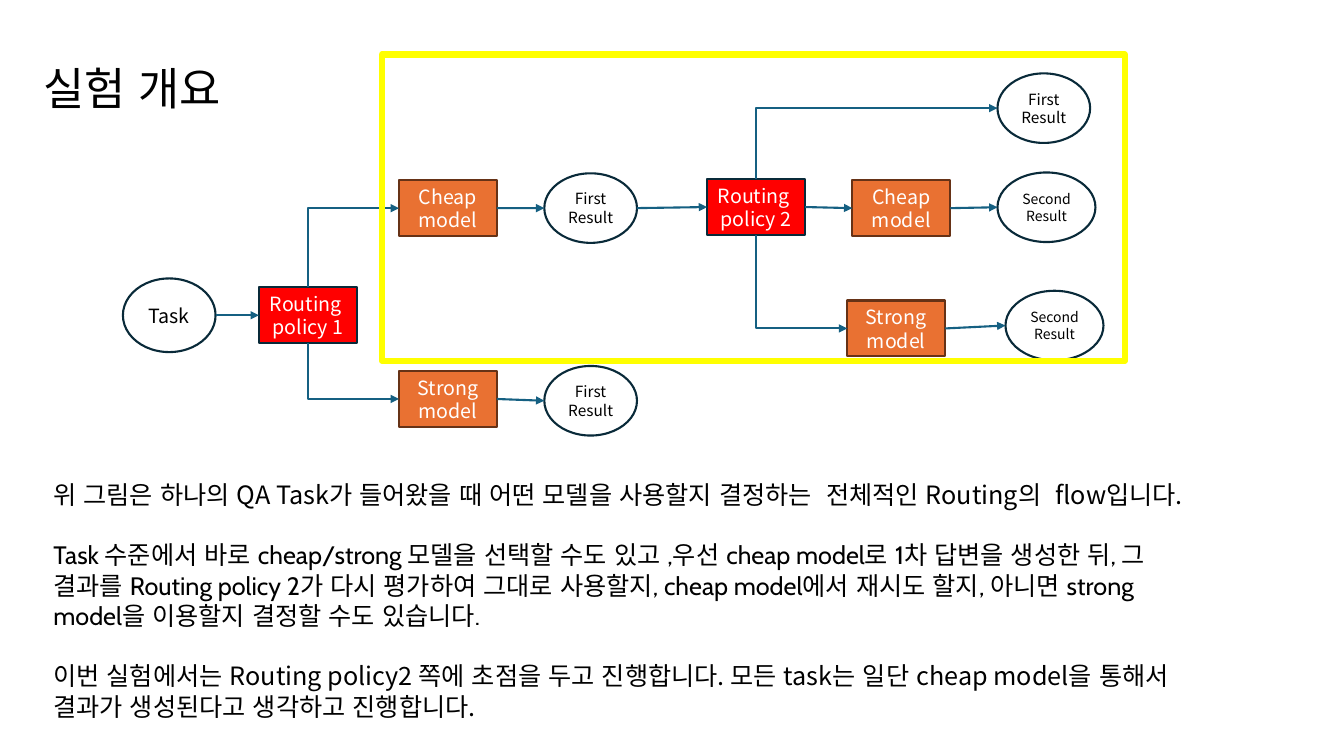
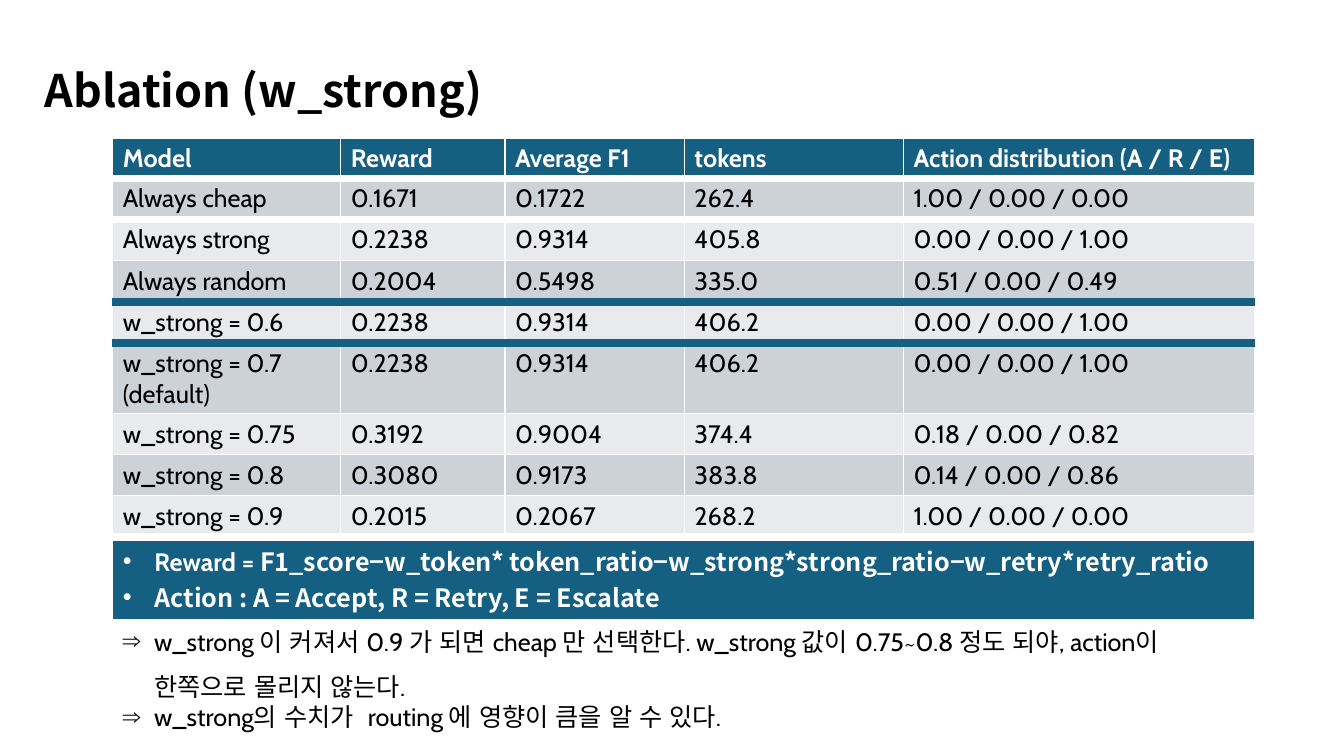
from lxml.etree import SubElement
from pptx import Presentation
from pptx.dml.color import RGBColor
from pptx.enum.lang import MSO_LANGUAGE_ID
from pptx.enum.shapes import MSO_CONNECTOR, MSO_SHAPE
from pptx.enum.text import MSO_ANCHOR, PP_ALIGN
from pptx.oxml.ns import qn
from pptx.util import Pt

COLORS = {
    "ink": "000000", "white": "FFFFFF", "outline": "092A39", "teal": "156082",
    "policy": "FF0000", "model": "E97132", "model_line": "663216",
    "highlight": "FFFF00", "band_dark": "CCD2D8", "band_light": "E8EAED",
}
NOTO, CABIN = "Noto Sans CJK KR", "Cabin"
LEADING = 1.2
ELLIPSE, RECT = MSO_SHAPE.OVAL, MSO_SHAPE.RECTANGLE
SITES = {ELLIPSE: dict(t=0, l=2, b=4, r=6), RECT: dict(t=0, l=1, b=2, r=3)}

KINDS = {
    "task": (ELLIPSE, 66.2, 52.6, 14, "white", "outline", "ink"),
    "first": (ELLIPSE, 66.2, 49.7, 11, "white", "outline", "ink"),
    "second": (ELLIPSE, 70, 49.7, 10, "white", "outline", "ink"),
    "policy": (RECT, 70, 40, 14, "policy", "outline", "white"),
    "model": (RECT, 70, 40, 14, "model", "model_line", "white"),
}
NODES = {
    "task": ("task", 0, 160, ["Task"]),
    "policy 1": ("policy", 97.2, 166.3, ["Routing ", "policy 1"]),
    "cheap 1": ("model", 197.2, 89.8, ["Cheap", "model"]),
    "strong 1": ("model", 197.2, 226.1, ["Strong", "model"]),
    "cheap result": ("first", 301, 84.9, ["First Result"]),
    "strong result": ("first", 301, 222.5, ["First Result"]),
    "policy 2": ("policy", 417.3, 89, ["Routing ", "policy 2"]),
    "cheap 2": ("model", 521, 89.8, ["Cheap", "model"]),
    "strong 2": ("model", 517.4, 175.7, ["Strong", "model"]),
    "accepted": ("first", 624.7, 13.5, ["First Result"]),
    "retried": ("second", 624.7, 84.3, ["Second Result"]),
    "escalated": ("second", 630.4, 168.8, ["Second Result"]),
}
ARROWS = [
    ("task", "r", "policy 1"), ("policy 1", "t", "cheap 1"),
    ("policy 1", "b", "strong 1"), ("cheap 1", "r", "cheap result"),
    ("strong 1", "r", "strong result"), ("cheap result", "r", "policy 2"),
    ("policy 2", "t", "accepted"), ("policy 2", "r", "cheap 2"),
    ("policy 2", "b", "strong 2"), ("cheap 2", "r", "retried"),
    ("strong 2", "r", "escalated"),
]
OVERVIEW = [
    ("위 그림은 하나의 QA Task가 들어왔을 때 어떤 모델을 사용할지 결정하는  전체적인 Routing의  flow입니다.", NOTO),
    ("Task 수준에서 바로 cheap/strong 모델을 선택할 수도 있고 ,우선 cheap model로 1차 답변을 생성한 뒤, "
     "그 결과를 Routing policy 2가 다시 평가하여 그대로 사용할지, cheap model에서 재시도 할지, "
     "아니면 strong model을 이용할지 결정할 수도 있습니다.", CABIN),
    ("이번 실험에서는 Routing policy2 쪽에 초점을 두고 진행합니다. 모든 task는 일단 cheap model을 "
     "통해서 결과가 생성된다고 생각하고 진행합니다.", NOTO),
]
RESULTS = [
    ("Model", "Reward", "Average F1", "tokens", "Action distribution (A / R / E)"),
    ("Always cheap", "0.1671", "0.1722", "262.4", "1.00 / 0.00 / 0.00"),
    ("Always strong", "0.2238", "0.9314", "405.8", "0.00 / 0.00 / 1.00"),
    ("Always random", "0.2004", "0.5498", "335.0", "0.51 / 0.00 / 0.49"),
    ("w_strong = 0.6", "0.2238", "0.9314", "406.2", "0.00 / 0.00 / 1.00"),
    ("w_strong = 0.7 (default)", "0.2238", "0.9314", "406.2", "0.00 / 0.00 / 1.00"),
    ("w_strong = 0.75", "0.3192", "0.9004", "374.4", "0.18 / 0.00 / 0.82"),
    ("w_strong = 0.8", "0.3080", "0.9173", "383.8", "0.14 / 0.00 / 0.86"),
    ("w_strong = 0.9", "0.2015", "0.2067", "268.2", "1.00 / 0.00 / 0.00"),
]
LEGEND = [
    [("Reward = ", CABIN),
     ("F1_score−w_token* token_ratio−w_strong*strong_ratio−w_retry*retry_ratio", NOTO)],
    [("Action : A = Accept, R = Retry, E = Escalate", NOTO)],
]
FINDINGS = [
    "w_strong 이 커져서 0.9 가 되면 cheap 만 선택한다. w_strong 값이 0.75~0.8 정도 되야, action이 한쪽으로 몰리지 않는다.",
    "w_strong의 수치가  routing 에 영향이 큼을 알 수 있다.",
]
COL_WIDTHS = [162.9, 117.3, 128.1, 156.6, 250.6]
RULES = {1: ("white", 6), 2: ("white", 6), 4: ("teal", 6), 5: ("teal", 6), 9: ("white", 6)}


def rgb(name):
    """Return the named colour."""
    return RGBColor.from_string(COLORS[name])


def style_runs(p, size, color="ink", font=NOTO, bold=False):
    """Format every run of a paragraph."""
    for r in p.runs:
        r.font.size, r.font.bold, r.font.name = Pt(size), bold, font
        r.font.language_id = MSO_LANGUAGE_ID.KOREAN
        r.font.color.rgb = rgb(color)


def add_bullet(p, char):
    """Give a paragraph a hanging bullet."""
    pPr = p._p.get_or_add_pPr()
    pPr.set("marL", str(Pt(22.5)))
    pPr.set("indent", str(-Pt(22.5)))
    SubElement(pPr, qn("a:buFont"), typeface="Arial")
    SubElement(pPr, qn("a:buChar"), char=char)


def add_text(s, x, y, w, h):
    """Add a wrapping text box and return its text frame."""
    tf = s.shapes.add_textbox(Pt(x), Pt(y), Pt(w), Pt(h)).text_frame
    tf.word_wrap = True
    return tf


def add_title(s, x, y, text, bold=False):
    """Add the slide title."""
    tf = add_text(s, x, y, 518.4, 56.2)
    tf.word_wrap = False
    tf.margin_left = tf.margin_right = tf.margin_top = tf.margin_bottom = 0
    tf.text = text
    p = tf.paragraphs[0]
    p.line_spacing = Pt(55.5)
    style_runs(p, 32, bold=bold)


def add_node(s, x, y, kind, lines):
    """Add one labelled step of the flow."""
    shape, w, h, size, fill, line, color = KINDS[kind]
    sp = s.shapes.add_shape(shape, Pt(x), Pt(y), Pt(w), Pt(h))
    sp.shadow.inherit = False
    sp.fill.solid()
    sp.fill.fore_color.rgb = rgb(fill)
    sp.line.color.rgb, sp.line.width = rgb(line), Pt(1.5)
    tf = sp.text_frame
    tf.vertical_anchor = MSO_ANCHOR.MIDDLE
    tf.text = "\n".join(lines)
    for p in tf.paragraphs:
        p.alignment = PP_ALIGN.CENTER
        p.line_spacing = Pt(LEADING * size)
        style_runs(p, size, color)
    return sp


def side_point(sp, side):
    """Return the middle of one side of a shape."""
    fx, fy = dict(t=(0.5, 0), l=(0, 0.5), b=(0.5, 1), r=(1, 0.5))[side]
    return int(sp.left + fx * sp.width), int(sp.top + fy * sp.height)


def add_arrow(s, source, side, target):
    """Join a source side to the target's left, with one bend from top or bottom."""
    bent = side != "r"
    kind = MSO_CONNECTOR.ELBOW if bent else MSO_CONNECTOR.STRAIGHT
    ends = [(source, side), (target, "l")]
    if bent:
        ends.reverse()
    c = s.shapes.add_connector(kind, *side_point(*ends[0]), *side_point(*ends[1]))
    c.line.color.rgb, c.line.width = rgb("teal"), Pt(1.5)
    arrowhead = "a:headEnd" if bent else "a:tailEnd"
    SubElement(c.line._get_or_add_ln(), qn(arrowhead), type="triangle")
    spPr = c._element.spPr
    SubElement(spPr, qn("a:effectLst"))
    if bent:
        spPr.find(qn("a:prstGeom")).set("prst", "bentConnector2")
    glue = c._element.find(".//" + qn("p:cNvCxnSpPr"))
    for tag, (sp, at) in zip(("a:stCxn", "a:endCxn"), ends):
        site = SITES[sp.auto_shape_type][at]
        SubElement(glue, qn(tag), id=str(sp.shape_id), idx=str(site))


def add_flow(s, x, y):
    """Draw the routing flow and the frame around its second stage."""
    nodes = {name: add_node(s, x + dx, y + dy, kind, lines)
             for name, (kind, dx, dy, lines) in NODES.items()}
    for source, side, target in ARROWS:
        add_arrow(s, nodes[source], side, nodes[target])
    frame = s.shapes.add_shape(RECT, Pt(x + 185.1), Pt(y), Pt(530.6), Pt(218.9))
    frame.shadow.inherit = False
    frame.fill.background()
    frame.line.color.rgb, frame.line.width = rgb("highlight"), Pt(4.5)


def add_overview(s, x, y, w, h):
    """Write the paragraphs that explain the flow."""
    tf = add_text(s, x, y, w, h)
    tf.text = "\n".join(text for text, _ in OVERVIEW)
    for i, (p, (_, font)) in enumerate(zip(tf.paragraphs, OVERVIEW)):
        p.line_spacing = Pt(LEADING * 18)
        p.space_before = Pt(LEADING * 18 if i else 0)
        style_runs(p, 18, font=font)


def paint_cell(cell, row, fill):
    """Set the borders and fill of a cell from its row."""
    tcPr = cell._tc.get_or_add_tcPr()
    thin = ("white", 1)
    edges = {"L": thin, "R": thin, "T": RULES.get(row, thin), "B": RULES.get(row + 1, thin)}
    for edge, (color, width) in edges.items():
        ln = SubElement(tcPr, qn(f"a:ln{edge}"), w=str(Pt(width)))
        SubElement(SubElement(ln, qn("a:solidFill")), qn("a:srgbClr"), val=COLORS[color])
    cell.fill.solid()
    cell.fill.fore_color.rgb = rgb(fill)


def add_results(s, x, y):
    """Add the results table with its legend row."""
    last = len(RESULTS)
    heights = [28.8] + [29.4] * (last - 1) + [59.3]
    heights[5] = 50.4
    tbl = s.shapes.add_table(last + 1, len(COL_WIDTHS), Pt(x), Pt(y),
                             Pt(sum(COL_WIDTHS)), Pt(sum(heights))).table
    for col, w in zip(tbl.columns, COL_WIDTHS):
        col.width = Pt(w)
    for i, h in enumerate(heights):
        tbl.rows[i].height = Pt(h)
        head = i in (0, last)
        fill = "teal" if head else ("band_light", "band_dark")[i % 2]
        for j in range(len(COL_WIDTHS)):
            cell = tbl.cell(i, j)
            paint_cell(cell, i, fill)
            if i < last:
                cell.text = RESULTS[i][j]
                style_runs(cell.text_frame.paragraphs[0], 18,
                           "white" if head else "ink", CABIN, head)
    legend = tbl.cell(last, 0)
    legend.merge(tbl.cell(last, len(COL_WIDTHS) - 1))
    tf = legend.text_frame
    tf.text = "\n".join("" for _ in LEGEND)
    for p, parts in zip(tf.paragraphs, LEGEND):
        add_bullet(p, "•")
        for text, _ in parts:
            p.add_run().text = text
        style_runs(p, 18, "white", NOTO, True)
        for r, (_, font) in zip(p.runs, parts):
            r.font.name = font


def add_findings(s, x, y, w, h):
    """List what the results show."""
    tf = add_text(s, x, y, w, h)
    tf.text = "\n".join(FINDINGS)
    for p, spacing in zip(tf.paragraphs, (1.5, 1.0)):
        p.line_spacing = spacing
        add_bullet(p, "⇒")
        style_runs(p, 18, font=CABIN)


def main():
    """Build both slides and save them."""
    prs = Presentation()
    prs.slide_width, prs.slide_height = Pt(960), Pt(540)
    blank = prs.slide_layouts[6]

    s = prs.slides.add_slide(blank)
    add_title(s, 31, 26.6, "실험 개요")
    add_overview(s, 31, 338.8, 838.8, 181.4)
    add_flow(s, 87.8, 38.9)

    s = prs.slides.add_slide(blank)
    add_title(s, 32, 27.4, "Ablation (w_strong)", bold=True)
    add_results(s, 80.6, 98.6)
    add_findings(s, 80.6, 432.7, 815.8, 116.6)

    prs.save("out.pptx")


if __name__ == "__main__":
    main()
